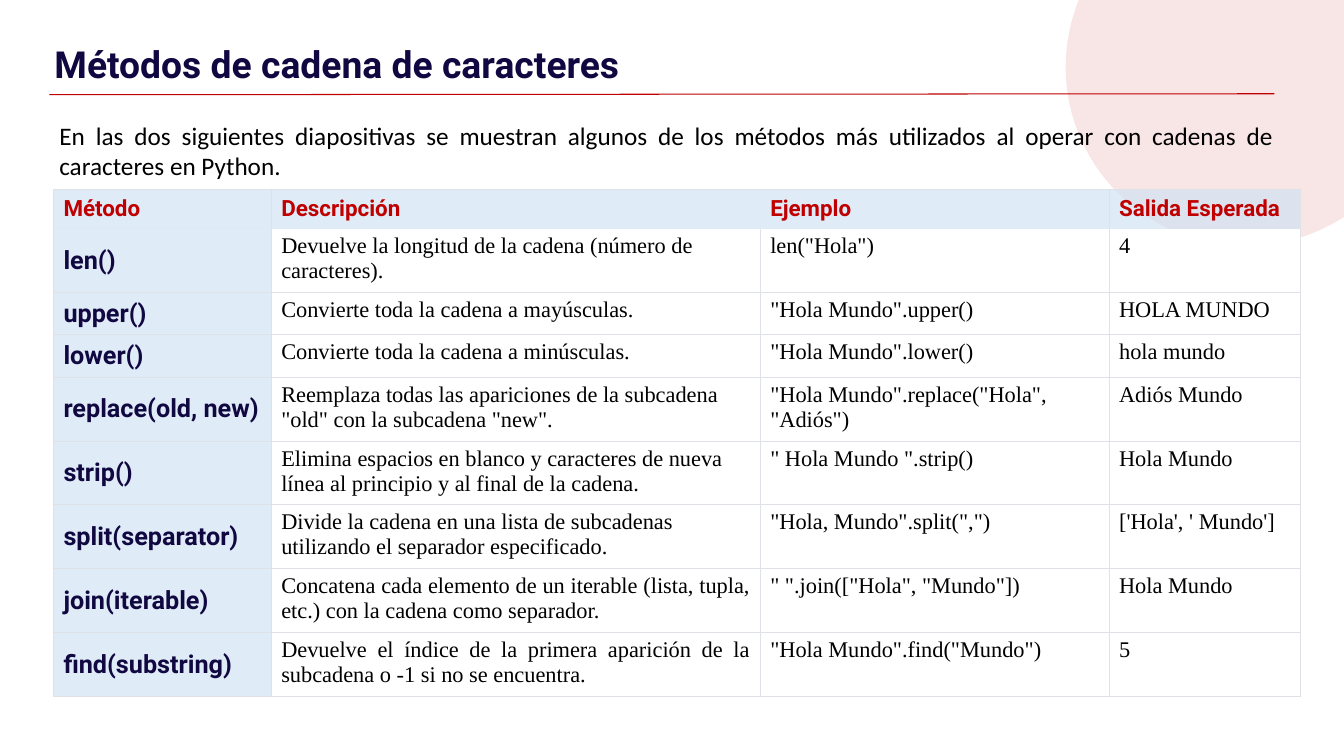
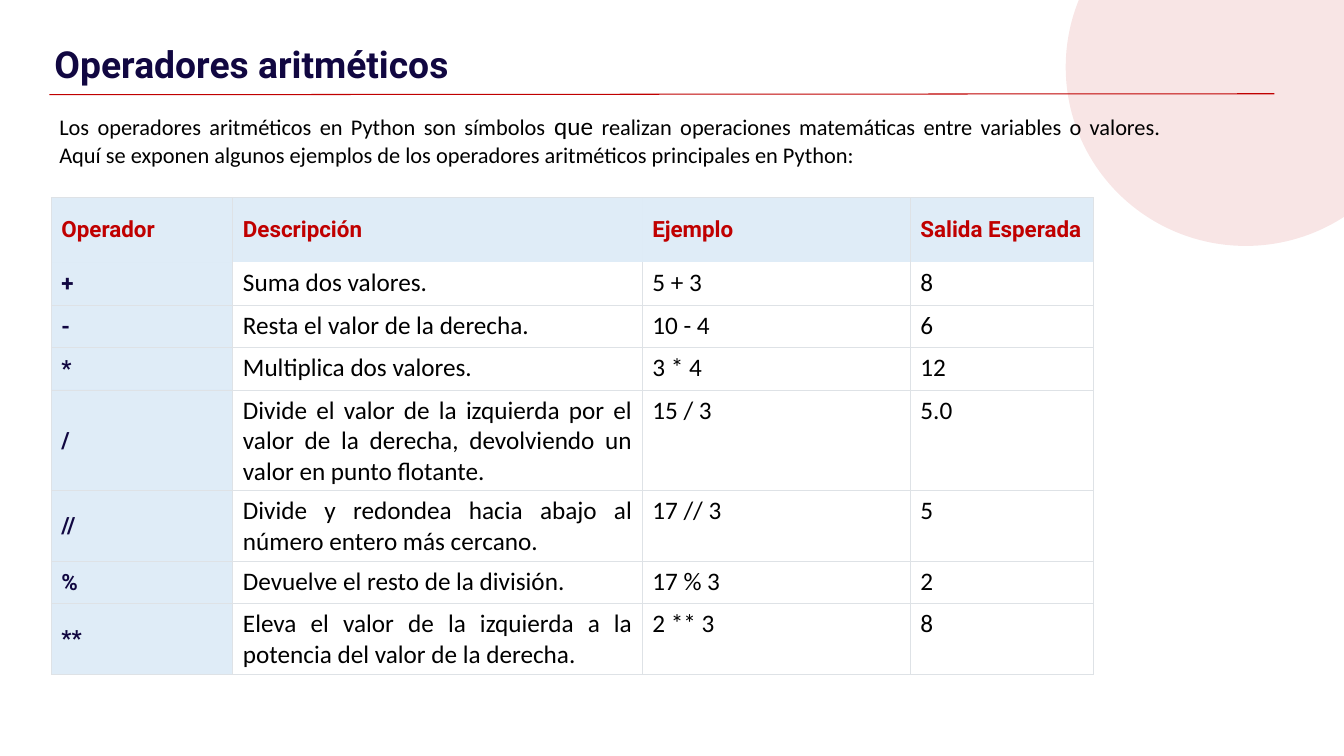
from dataclasses import dataclass

from lxml.etree import SubElement
from pptx import Presentation
from pptx.dml.color import RGBColor
from pptx.enum.shapes import MSO_CONNECTOR, MSO_SHAPE
from pptx.enum.text import MSO_ANCHOR, PP_ALIGN
from pptx.oxml.ns import qn
from pptx.util import Inches, Pt


@dataclass(frozen=True)
class Theme:
    navy: str = "110741"
    red: str = "C00000"
    black: str = "000000"
    white: str = "FFFFFF"
    pale_blue: str = "CFE2F3"
    border: str = "DEE2E6"
    heading_font: str = "Roboto"
    body_font: str = "Calibri"
    serif_font: str = "Times New Roman"
    title_size: float = 26.6
    large: int = 18
    normal: int = 16
    rule_width: float = 0.75
    circle_opacity: int = 10
    cell_opacity: int = 65


THEME = Theme()


def style_font(font, name, size, color, bold=False):
    font.name = name
    font.size = Pt(size)
    font.bold = bold
    font.color.rgb = RGBColor.from_string(color)


def set_opacity(properties, percent):
    color = properties.find(qn("a:solidFill"))[0]
    SubElement(color, qn("a:alpha"), val=str(percent * 1000))


def add_text(slide, box, insets):
    frame = slide.shapes.add_textbox(*map(Inches, box)).text_frame
    frame.word_wrap = True
    frame.margin_left = frame.margin_right = Inches(insets[0])
    frame.margin_top = Inches(insets[1])
    frame.margin_bottom = Inches(insets[2])
    return frame.paragraphs[0]


def add_circle(slide, box):
    circle = slide.shapes.add_shape(MSO_SHAPE.OVAL, *map(Inches, box))
    circle.shadow.inherit = False
    circle.fill.solid()
    circle.fill.fore_color.rgb = RGBColor.from_string(THEME.red)
    set_opacity(circle._element.spPr, THEME.circle_opacity)
    circle.line.fill.background()


def add_title_rule(slide, start, end):
    rule = slide.shapes.add_connector(
        MSO_CONNECTOR.STRAIGHT, *map(Inches, (*start, *end)))
    rule.line.color.rgb = RGBColor.from_string(THEME.red)
    rule.line.width = Pt(THEME.rule_width)
    SubElement(rule._element.spPr, qn("a:effectLst"))


def add_title(slide, title, box):
    paragraph = add_text(slide, box, (0.13, 0.41, 0))
    paragraph.text = title
    style_font(paragraph.font, THEME.heading_font, THEME.title_size,
               THEME.navy, True)


def add_intro(slide, pieces, size, box):
    paragraph = add_text(slide, box, (0.1, 0.05, 0.05))
    paragraph.alignment = PP_ALIGN.JUSTIFY
    style_font(paragraph.font, THEME.body_font, size, THEME.black)
    for wording, piece_size in pieces:
        run = paragraph.add_run()
        run.text = wording
        if piece_size != size:
            run.font.size = Pt(piece_size)


def set_borders(cell, visible):
    properties = cell._tc.get_or_add_tcPr()
    for side in "LRTB":
        line = SubElement(properties, qn(f"a:ln{side}"),
                          w=str(Pt(THEME.rule_width)))
        if side in visible:
            fill = SubElement(line, qn("a:solidFill"))
            SubElement(fill, qn("a:srgbClr"), val=THEME.border)
        else:
            SubElement(line, qn("a:noFill"))


def visible_borders(row, column):
    if row == 0:
        return {1: "LT", 2: "RT"}.get(column, "LRT")
    return "LRB" if row == 1 else "LRTB"


def fill_cell(cell, wording, row, column, key_size, body_font, body_size,
              justified):
    set_borders(cell, visible_borders(row, column))
    labelled = row == 0 or column == 0
    cell.fill.solid()
    cell.fill.fore_color.rgb = RGBColor.from_string(
        THEME.pale_blue if labelled else THEME.white)
    cell.margin_left = cell.margin_right = Inches(0.1)
    cell.margin_top = cell.margin_bottom = Inches(0.05)
    paragraph = cell.text_frame.paragraphs[0]
    paragraph.text = wording
    if labelled:
        set_opacity(cell._tc.tcPr, THEME.cell_opacity)
        cell.vertical_anchor = MSO_ANCHOR.MIDDLE
        style_font(paragraph.font, THEME.heading_font,
                   key_size if row else THEME.normal,
                   THEME.navy if row else THEME.red, True)
    else:
        if justified:
            paragraph.alignment = PP_ALIGN.JUSTIFY
        style_font(paragraph.font, body_font, body_size, THEME.black)


def add_reference_table(slide, rows, origin, widths, heights, key_size,
                        body_font, body_size, justified_from):
    box = (*origin, sum(widths), sum(heights))
    table = slide.shapes.add_table(
        len(rows), len(widths), *map(Inches, box)).table
    table.first_row = table.horz_banding = False
    for column, width in zip(table.columns, widths):
        column.width = Inches(width)
    for table_row, height in zip(table.rows, heights):
        table_row.height = Inches(height)
    for r, wordings in enumerate(rows):
        for c, wording in enumerate(wordings):
            fill_cell(table.cell(r, c), wording, r, c, key_size, body_font,
                      body_size, r >= justified_from)


def new_slide(deck, title):
    slide = deck.slides.add_slide(deck.slide_layouts[6])
    add_circle(slide, (10.57, -1.11, 3.57, 3.55))
    add_title_rule(slide, (0.49, 0.94), (12.64, 0.93))
    add_title(slide, title, (0.41, 0, 11.47, 0.86))
    return slide


HEADINGS = ("Descripción", "Ejemplo", "Salida Esperada")

STRING_METHODS = [
    ("Método", *HEADINGS),
    ("len()", "Devuelve la longitud de la cadena (número de caracteres).",
     'len("Hola")', "4"),
    ("upper()", "Convierte toda la cadena a mayúsculas.",
     '"Hola Mundo".upper()', "HOLA MUNDO"),
    ("lower()", "Convierte toda la cadena a minúsculas.",
     '"Hola Mundo".lower()', "hola mundo"),
    ("replace(old, new)",
     'Reemplaza todas las apariciones de la subcadena "old" con la '
     'subcadena "new".',
     '"Hola Mundo".replace("Hola", "Adiós")', "Adiós Mundo"),
    ("strip()",
     "Elimina espacios en blanco y caracteres de nueva línea al principio "
     "y al final de la cadena.",
     '" Hola Mundo ".strip()', "Hola Mundo"),
    ("split(separator)",
     "Divide la cadena en una lista de subcadenas utilizando el separador "
     "especificado.",
     '"Hola, Mundo".split(",")', "['Hola', ' Mundo']"),
    ("join(iterable)",
     "Concatena cada elemento de un iterable (lista, tupla, etc.) con la "
     "cadena como separador.",
     '" ".join(["Hola", "Mundo"])', "Hola Mundo"),
    ("find(substring)",
     "Devuelve el índice de la primera aparición de la subcadena o -1 si "
     "no se encuentra.",
     '"Hola Mundo".find("Mundo")', "5"),
]

ARITHMETIC_OPERATORS = [
    ("Operador", *HEADINGS),
    ("+", "Suma dos valores.", "5 + 3", "8"),
    ("-", "Resta el valor de la derecha.", "10 - 4", "6"),
    ("*", "Multiplica dos valores.", "3 * 4", "12"),
    ("/",
     "Divide el valor de la izquierda por el valor de la derecha, "
     "devolviendo un valor en punto flotante.", "15 / 3", "5.0"),
    ("//", "Divide y redondea hacia abajo al número entero más cercano.",
     "17 // 3", "5"),
    ("%", "Devuelve el resto de la división.", "17 % 3", "2"),
    ("**",
     "Eleva el valor de la izquierda a la potencia del valor de la derecha.",
     "2 ** 3", "8"),
]


def build_string_methods(deck):
    slide = new_slide(deck, "Métodos de cadena de caracteres")
    intro = [("En las dos siguientes diapositivas se muestran algunos de los "
              "métodos más utilizados al operar con cadenas de caracteres en "
              "Python.", THEME.large)]
    add_intro(slide, intro, THEME.large, (0.49, 1.14, 12.24, 0.7))
    add_reference_table(
        slide, STRING_METHODS, (0.53, 1.88), (2.16, 4.85, 3.46, 1.9),
        (0.39, 0.43, *[0.42] * 5, 0.63, 0.24),
        key_size=THEME.large, body_font=THEME.serif_font,
        body_size=THEME.normal, justified_from=7)


def build_arithmetic_operators(deck):
    slide = new_slide(deck, "Operadores aritméticos")
    intro = [
        ("Los operadores aritméticos en Python son símbolos ", THEME.normal),
        ("que", THEME.large),
        (" realizan operaciones matemáticas entre variables o valores. Aquí "
         "se exponen algunos ejemplos de los operadores aritméticos "
         "principales en Python:", THEME.normal),
    ]
    add_intro(slide, intro, THEME.normal, (0.49, 1.05, 11.12, 5.96))
    add_reference_table(
        slide, ARITHMETIC_OPERATORS, (0.51, 1.96), (1.8, 4.06, 2.66, 1.82),
        (0.64, 0.43, *[0.42] * 5, 0.63),
        key_size=THEME.normal, body_font=THEME.body_font,
        body_size=THEME.large, justified_from=1)


def main():
    deck = Presentation()
    deck.slide_width = Inches(13.33)
    deck.slide_height = Inches(7.5)
    build_string_methods(deck)
    build_arithmetic_operators(deck)
    deck.save("out.pptx")


if __name__ == "__main__":
    main()
